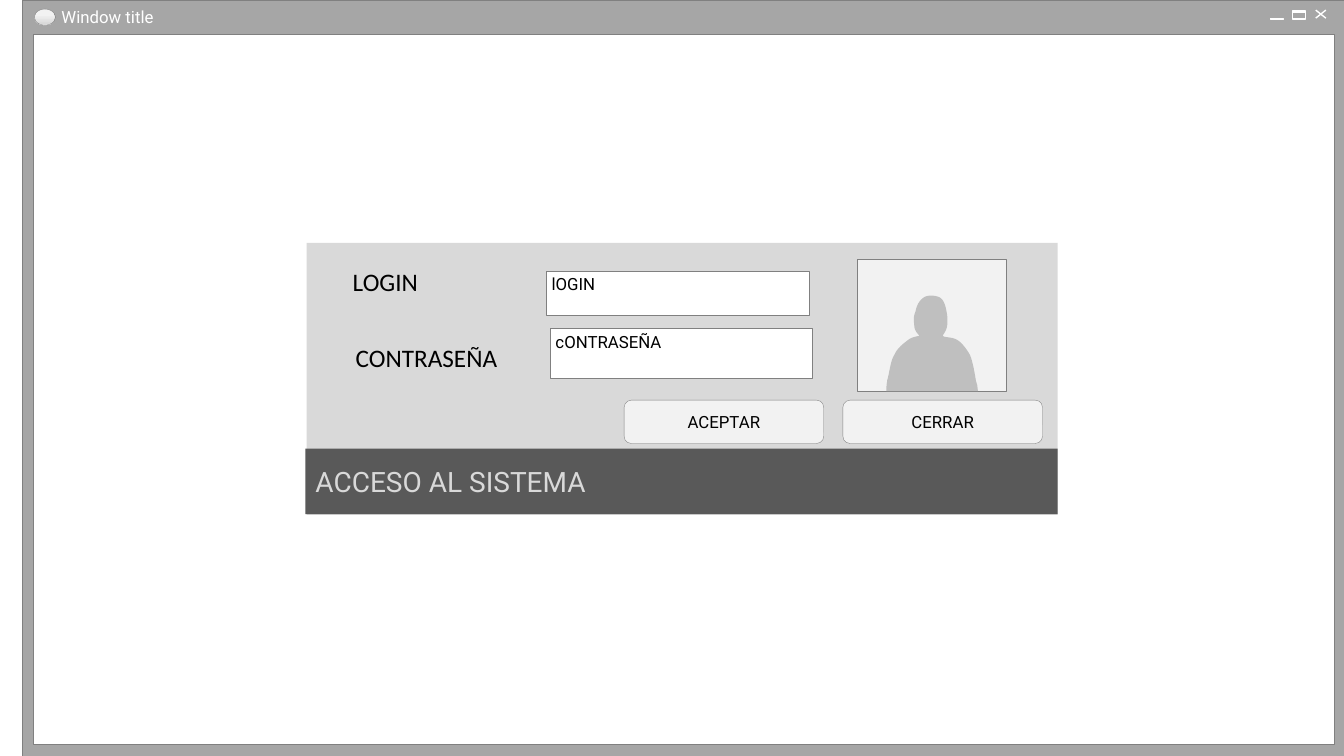
import copy

import pptx
import pptx.dml.color
import pptx.enum.shapes
import pptx.enum.text
import pptx.util
from pptx.util import Inches

RGBColor = pptx.dml.color.RGBColor
SHAPE = pptx.enum.shapes.MSO_SHAPE
ALIGN = pptx.enum.text.PP_ALIGN
ANCHOR = pptx.enum.text.MSO_ANCHOR

WHITE = RGBColor(0xFF, 0xFF, 0xFF)
BLACK = RGBColor(0x00, 0x00, 0x00)
FRAME_GRAY = RGBColor(0xA6, 0xA6, 0xA6)
BORDER_GRAY = RGBColor(0x80, 0x80, 0x80)
GLYPH_GRAY = RGBColor(0x91, 0x91, 0x91)
PANEL_GRAY = RGBColor(0xD9, 0xD9, 0xD9)
BANNER_GRAY = RGBColor(0x59, 0x59, 0x59)
LIGHT_GRAY = RGBColor(0xF2, 0xF2, 0xF2)
PERSON_GRAY = RGBColor(0xBF, 0xBF, 0xBF)

# Bezier segments (two controls, end), in inches from the portrait's corner
PERSON_START = (0.29, 1.31)
PERSON_CURVES = [
    ((0.29, 1.25), (0.30, 1.21), (0.30, 1.20)),
    ((0.32, 1.14), (0.33, 1.01), (0.37, 0.95)),
    ((0.40, 0.88), (0.47, 0.83), (0.51, 0.80)),
    ((0.55, 0.77), (0.59, 0.77), (0.62, 0.76)),
    ((0.60, 0.74), (0.58, 0.72), (0.57, 0.68)),
    ((0.56, 0.59), (0.56, 0.57), (0.58, 0.52)),
    ((0.59, 0.47), (0.61, 0.42), (0.65, 0.39)),
    ((0.69, 0.35), (0.78, 0.36), (0.82, 0.38)),
    ((0.86, 0.40), (0.88, 0.47), (0.89, 0.53)),
    ((0.90, 0.59), (0.90, 0.64), (0.89, 0.68)),
    ((0.88, 0.72), (0.86, 0.74), (0.85, 0.76)),
    ((0.86, 0.78), (0.94, 0.77), (0.99, 0.80)),
    ((1.03, 0.82), (1.08, 0.88), (1.12, 0.95)),
    ((1.15, 1.02), (1.17, 1.15), (1.18, 1.21)),
    ((1.20, 1.27), (1.19, 1.25), (1.20, 1.31)),
]
CURVE_STEPS = 8


def add_block(slide, left, top, width, height, fill, border=BORDER_GRAY,
              weight=0.25, kind=SHAPE.RECTANGLE):
    """Draw a preset shape; None for fill or border leaves it out."""
    block = slide.shapes.add_shape(
        kind, Inches(left), Inches(top), Inches(width), Inches(height))
    block.shadow.inherit = False
    if fill is None:
        block.fill.background()
    else:
        block.fill.solid()
        block.fill.fore_color.rgb = fill
    if border is None:
        block.line.fill.background()
    else:
        block.line.color.rgb = border
        block.line.width = pptx.util.Pt(weight)
    return block


def write(box, wording, size, color=BLACK, font="Roboto", align=ALIGN.LEFT,
          anchor=ANCHOR.TOP, insets=(0.1, 0.05, 0.1, 0.05)):
    frame = box.text_frame
    frame.word_wrap = True
    frame.vertical_anchor = anchor
    (frame.margin_left, frame.margin_top,
     frame.margin_right, frame.margin_bottom) = map(Inches, insets)
    paragraph = frame.paragraphs[0]
    paragraph.text = wording
    paragraph.alignment = align
    paragraph.font.name = font
    paragraph.font.size = pptx.util.Pt(size)
    paragraph.font.color.rgb = color


def add_label(slide, left, top, width, height, wording, size, **style):
    label = slide.shapes.add_textbox(
        Inches(left), Inches(top), Inches(width), Inches(height))
    write(label, wording, size, **style)


def add_stroke(slide, x1, y1, x2, y2):
    stroke = slide.shapes.add_connector(
        pptx.enum.shapes.MSO_CONNECTOR.STRAIGHT,
        Inches(x1), Inches(y1), Inches(x2), Inches(y2))
    stroke.line.color.rgb = WHITE
    stroke.line.width = pptx.util.Pt(1)
    properties = stroke._element.spPr
    properties.append(
        properties.makeelement(pptx.oxml.ns.qn("a:effectLst"), {}))


def add_window_icon(slide, left, top):
    icon = add_block(slide, left, top, 0.21, 0.16, LIGHT_GRAY, kind=SHAPE.OVAL)
    icon.fill.gradient()
    icon.fill.gradient_angle = 270
    stop_list = icon._element.spPr.find(".//" + pptx.oxml.ns.qn("a:gsLst"))
    stop_list.append(copy.deepcopy(stop_list[-1]))
    shades = [(0.36, LIGHT_GRAY), (0.91, PANEL_GRAY), (1, LIGHT_GRAY)]
    for stop, (position, shade) in zip(icon.fill.gradient_stops, shades):
        stop.position = position
        stop.color.rgb = shade


def add_window_controls(slide, left, top):
    """Minimize, maximize and close signs."""
    add_block(slide, left, top + 0.08, 0.13, 0.01, GLYPH_GRAY, WHITE)
    add_block(slide, left + 0.22, top + 0.01, 0.13, 0.01, GLYPH_GRAY, WHITE)
    add_block(slide, left + 0.22, top + 0.01, 0.13, 0.08, None, WHITE, 1)
    close, right, bottom = left + 0.45, left + 0.55, top + 0.08
    add_stroke(slide, close, top, right, bottom)
    add_stroke(slide, right, top, close, bottom)


def add_window(slide, left, top, width, height):
    add_block(slide, left, top, width, height, FRAME_GRAY)
    add_block(slide, left + 0.11, top + 0.34, width - 0.22, height - 0.46,
              WHITE)
    add_label(slide, left + 0.34, top + 0.05, 1.43, 0.25, "Window title", 12,
              color=WHITE, anchor=ANCHOR.MIDDLE,
              insets=(0.05, 0.02, 0.1, 0.03))
    add_window_controls(slide, left + width - 0.74, top + 0.1)
    add_window_icon(slide, left + 0.12, top + 0.09)


def add_portrait(slide, left, top, width, height):
    add_block(slide, left, top, width, height, LIGHT_GRAY)
    outline, start = [], PERSON_START
    for curve in PERSON_CURVES:
        for step in range(1, CURVE_STEPS + 1):
            t = step / CURVE_STEPS
            weights = ((1 - t) ** 3, 3 * t * (1 - t) ** 2,
                       3 * t ** 2 * (1 - t), t ** 3)
            outline.append(tuple(
                Inches(origin + sum(w * c for w, c in zip(weights, coords)))
                for origin, coords in zip((left, top), zip(start, *curve))))
        start = curve[-1]
    builder = slide.shapes.build_freeform(
        Inches(left + PERSON_START[0]), Inches(top + PERSON_START[1]))
    builder.add_line_segments(outline, close=True)
    person = builder.convert_to_shape()
    person.shadow.inherit = False
    person.fill.solid()
    person.fill.fore_color.rgb = PERSON_GRAY
    person.line.fill.background()


def add_login_panel(slide, left, top, width, height):
    add_block(slide, left + 0.01, top, width - 0.01, height, PANEL_GRAY, None)
    banner = add_block(slide, left, top + 2.04, width, 0.65, BANNER_GRAY, None)
    write(banner, "ACCESO AL SISTEMA", 20, color=PANEL_GRAY,
          anchor=ANCHOR.MIDDLE)

    for x, action in ((3.16, "ACEPTAR"), (5.33, "CERRAR")):
        button = add_block(slide, left + x, top + 1.56, 1.98, 0.43, LIGHT_GRAY,
                           kind=SHAPE.ROUNDED_RECTANGLE)
        write(button, action, 12, align=ALIGN.CENTER, anchor=ANCHOR.MIDDLE,
              insets=(0.1, 0, 0.1, 0.01))

    for x, y, field_width, field_height, hint in (
            (2.39, 0.28, 2.61, 0.44, "lOGIN"),
            (2.43, 0.85, 2.6, 0.49, "cONTRASEÑA")):
        field = add_block(slide, left + x, top + y, field_width, field_height,
                          WHITE)
        write(field, hint, 12, insets=(0.05, 0.03, 0, 0))

    for x, y, caption in ((0.37, 0.18, "LOGIN"), (0.4, 0.94, "CONTRASEÑA")):
        add_label(slide, left + x, top + y, 1.91, 0.4, caption, 18,
                  font="Calibri")

    add_portrait(slide, left + 5.47, top + 0.16, 1.48, 1.31)


def main():
    deck = pptx.Presentation()
    deck.slide_width = Inches(13.33)
    deck.slide_height = Inches(7.5)
    slide = deck.slides.add_slide(deck.slide_layouts[6])
    add_window(slide, 0.22, 0, 13.12, 7.5)
    add_login_panel(slide, 3.03, 2.41, 7.46, 2.7)
    deck.save("out.pptx")


if __name__ == "__main__":
    main()
